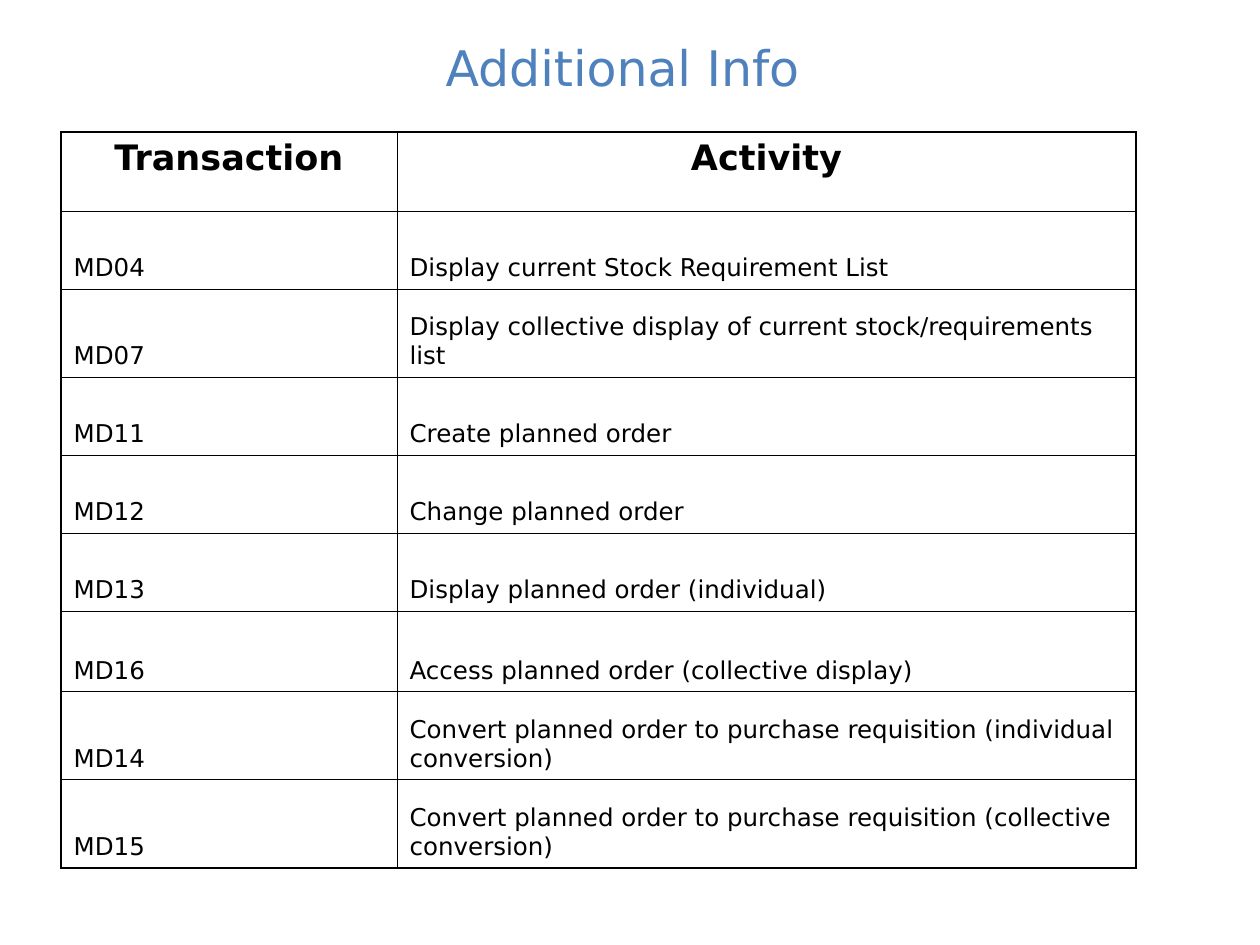
from lxml import etree
from pptx import Presentation, util as u
from pptx.dml.color import RGBColor
from pptx.enum import text
from pptx.oxml.ns import qn

EMU_PER_PX = 914400 // 126
FONT = "DejaVu Sans"
BLACK = "000000"
TITLE_BLUE = "4F81BD"
THIN, THICK = 0.45, 1.08

HEADER = ("Transaction", "Activity")
TRANSACTIONS = [
    ("MD04", "Display current Stock Requirement List"),
    ("MD07", "Display collective display of current stock/requirements list"),
    ("MD11", "Create planned order"),
    ("MD12", "Change planned order"),
    ("MD13", "Display planned order (individual)"),
    ("MD16", "Access planned order (collective display)"),
    ("MD14", "Convert planned order to purchase requisition (individual conversion)"),
    ("MD15", "Convert planned order to purchase requisition (collective conversion)"),
]
COLUMN_WIDTHS = [336, 739]
ROW_HEIGHTS = [79, 78, 88, 78, 78, 78, 81, 88, 88]


def px(length):
    return u.Emu(length * EMU_PER_PX)


def color(hex_code):
    return RGBColor.from_string(hex_code)


def format_paragraph(paragraph, size, hex_code, align, bold=False, before=0):
    paragraph.alignment = align
    paragraph.space_before = u.Pt(before)
    for run in paragraph.runs:
        run.font.name = FONT
        run.font.size = u.Pt(size)
        run.font.bold = bold
        run.font.color.rgb = color(hex_code)


def add_title(slide, wording):
    box = slide.shapes.add_textbox(px(21), px(21), px(1203), px(92))
    frame = box.text_frame
    frame.word_wrap = True
    frame.vertical_anchor = text.MSO_ANCHOR.MIDDLE
    frame.text = wording
    format_paragraph(frame.paragraphs[0], 28, TITLE_BLUE, text.PP_ALIGN.CENTER)


def set_borders(cell, widths):
    properties = cell._tc.get_or_add_tcPr()
    for position, (tag, width) in enumerate(widths.items()):
        line = etree.Element(qn(f"a:{tag}"), w=str(u.Pt(width)))
        fill = etree.SubElement(line, qn("a:solidFill"))
        etree.SubElement(fill, qn("a:srgbClr"), val=BLACK)
        properties.insert(position, line)


def fill_cell(cell, wording, is_header):
    cell.fill.background()
    cell.text = wording
    paragraph = cell.text_frame.paragraphs[0]
    if is_header:
        cell.vertical_anchor = text.MSO_ANCHOR.TOP
        format_paragraph(paragraph, 20, BLACK, text.PP_ALIGN.CENTER, True, 5)
    else:
        cell.vertical_anchor = text.MSO_ANCHOR.BOTTOM
        format_paragraph(paragraph, 14, BLACK, text.PP_ALIGN.LEFT, before=3.5)


def add_transaction_table(slide):
    rows = [HEADER] + TRANSACTIONS
    last_row, last_column = len(rows) - 1, len(HEADER) - 1
    table = slide.shapes.add_table(
        len(rows), len(HEADER), px(61), px(132),
        px(sum(COLUMN_WIDTHS)), px(sum(ROW_HEIGHTS))).table
    table.first_row = False
    table.horz_banding = False
    for column, width in zip(table.columns, COLUMN_WIDTHS):
        column.width = px(width)
    for row, height in zip(table.rows, ROW_HEIGHTS):
        row.height = px(height)
    for i, row in enumerate(rows):
        for j, wording in enumerate(row):
            cell = table.cell(i, j)
            fill_cell(cell, wording, i == 0)
            set_borders(cell, {
                "lnL": THICK if j == 0 else THIN,
                "lnR": THICK if j == last_column else THIN,
                "lnT": THICK if i == 0 else THIN,
                "lnB": THICK if i == last_row else THIN,
            })


def main():
    presentation = Presentation()
    presentation.slide_width = px(1260)
    presentation.slide_height = px(945)
    slide = presentation.slides.add_slide(presentation.slide_layouts[6])
    add_title(slide, "Additional Info")
    add_transaction_table(slide)
    presentation.save("out.pptx")


if __name__ == "__main__":
    main()
